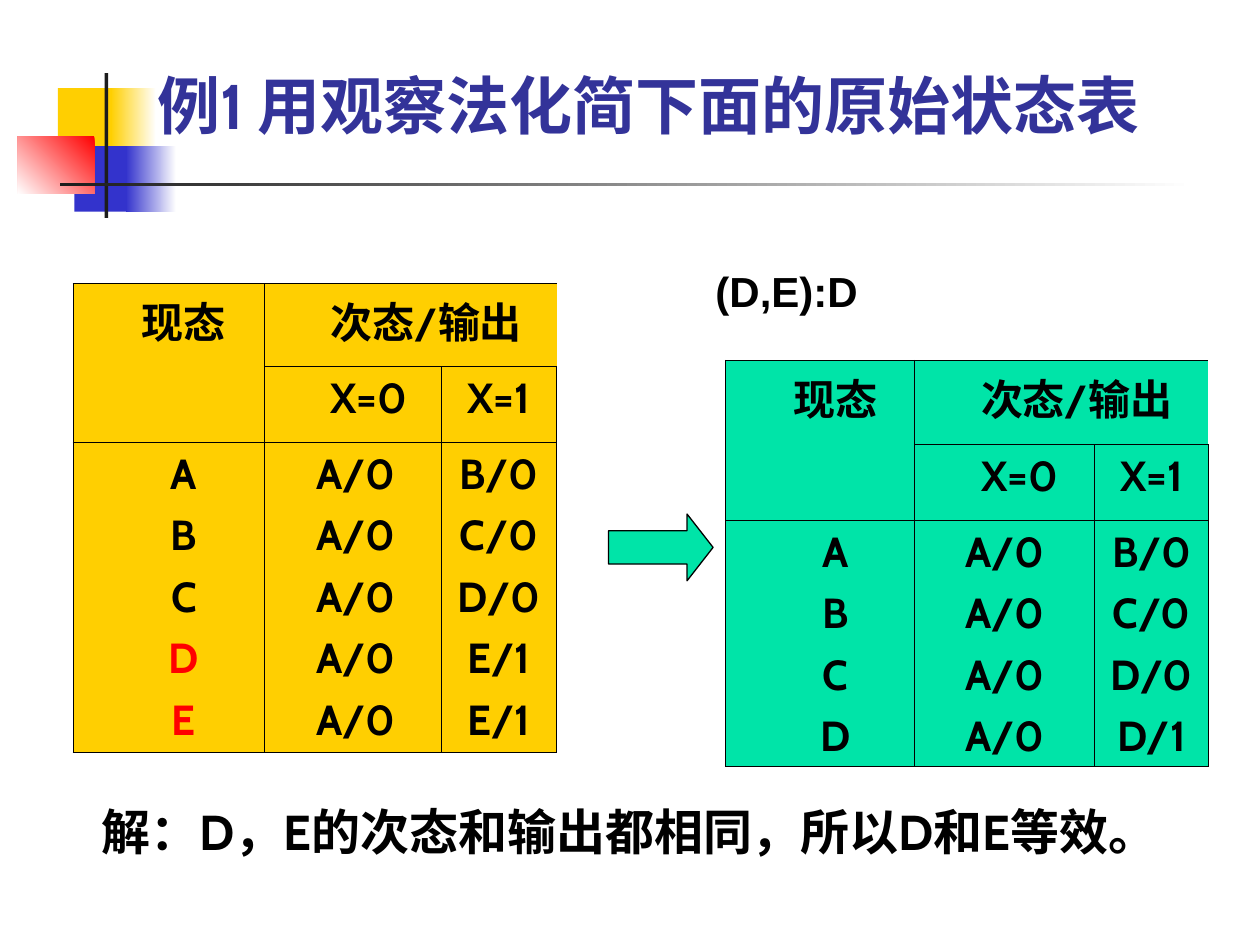
from lxml import etree
from pptx import Presentation
from pptx import util as u
from pptx.dml.color import RGBColor
from pptx.enum import shapes, text
from pptx.oxml import ns

COLS, ROWS = 100, 75  # slide grid
GOLD, MINT, BLUE, RED = "FFCF01", "00E4A8", "3333CC", "FF0000"
INK, BLACK, WHITE = "1C1C1C", "000000", "FFFFFF"

prs = Presentation()
prs.slide_width, prs.slide_height = u.Inches(10), u.Inches(7.5)
UNIT = prs.slide_width // COLS


def grid(*nums):
    return [u.Emu(round(n * UNIT)) for n in nums]


def tint(color, code):
    color.rgb = RGBColor.from_string(code)


def paint(fill, code):
    fill.solid()
    tint(fill.fore_color, code)


def write(frame, lines, size, font="Cabin", color=BLACK, align=None, gap=0, marks=()):
    """Fill a frame with one paragraph a line; lines in marks turn red."""
    frame.word_wrap = True
    for i, line in enumerate(lines):
        para = frame.add_paragraph() if i else frame.paragraphs[0]
        para.text = line
        para.alignment = align
        if i:
            para.space_before = u.Pt(gap)
        para.font.name, para.font.size, para.font.bold = font, u.Pt(size), True
        tint(para.font.color, RED if line in marks else color)


def block(slide, box, *codes, angle=180, kind=shapes.MSO_SHAPE.RECTANGLE):
    """Draw a lineless shape in one colour or a gradient of two."""
    shape = slide.shapes.add_shape(kind, *grid(*box))
    shape.shadow.inherit = False
    shape.line.fill.background()
    if len(codes) == 1:
        paint(shape.fill, codes[0])
    else:
        shape.fill.gradient()
        shape.fill.gradient_angle = angle
        for stop, code in zip(shape.fill.gradient_stops, codes):
            tint(stop.color, code)
    return shape


def header(slide, box, words):
    """Place the emblem and rule, then the title on top of them."""
    x, y, w, h = box
    block(slide, (x + 3.2, y + 1.2, 4.8, 5.2), GOLD)
    block(slide, (x + 7.4, y + 1.2, 3.6, 5.2), WHITE, GOLD)
    block(slide, (x + 4.5, y + 5.8, 4.6, 5.2), BLUE)
    block(slide, (x + 8.6, y + 5.8, 4, 5.2), WHITE, BLUE)
    block(slide, (x, y + 5, 6.1, 4.6), RED, WHITE, angle=225)
    block(slide, (x + 6.9, y, 0.3, h), INK)
    block(slide, (x + 3.4, y + 8.7, w - 3.4, 0.3), WHITE, INK)
    title = slide.shapes.title
    title.left, title.top, title.width, title.height = grid(x + 10.1, y - 2.5, 85.2, 8.5)
    title.text_frame.vertical_anchor = text.MSO_ANCHOR.BOTTOM
    title.text_frame.auto_size = text.MSO_AUTO_SIZE.NONE
    write(title.text_frame, [words], 36, color="333399", align=text.PP_ALIGN.LEFT)
    slide.shapes._spTree.append(title._element)


def edge(cell, sides):
    """Rule the named sides of a cell and clear the others."""
    props = cell._tc.get_or_add_tcPr()
    for side in "LRTB":
        line = etree.SubElement(props, ns.qn(f"a:ln{side}"), w=str(u.Pt(0.45)))
        if side in sides:
            fill = etree.SubElement(line, ns.qn("a:solidFill"))
            etree.SubElement(fill, ns.qn("a:srgbClr"), val=BLACK)
        else:
            etree.SubElement(line, ns.qn("a:noFill"))


def states(slide, box, cols, rows, code, names, nexts, marks=()):
    """Build a state table; narrow blank columns pad the first two wide ones."""
    table = slide.shapes.add_table(len(rows), len(cols), *grid(*box)).table
    table.first_row = table.horz_banding = False
    for col, size in zip(table.columns, grid(*cols)):
        col.width = size
    for row, size in zip(table.rows, grid(*rows)):
        row.height = size
    for r in range(len(rows)):
        for c, sides in enumerate(("LTB", "RTB", "LTB", "RTB", "LRTB")):
            cell = table.cell(r, c)
            edge(cell, "TB" if (r, c) == (0, 3) else sides)
            paint(cell.fill, code)
    for c in (0, 1):
        table.cell(0, c).merge(table.cell(1, c))
    table.cell(0, 3).merge(table.cell(0, 4))
    parts = {
        (0, 1): ["现态"], (0, 3): ["次态/输出"],
        (1, 3): ["X=0"], (1, 4): ["X=1"],
        (2, 1): names, (2, 3): ["A/0"] * len(names), (2, 4): nexts,
    }
    for spot, lines in parts.items():
        left = spot == (2, 3)
        cell = table.cell(*spot)
        if left:
            cell.margin_left = u.Inches(0.16)
        write(cell.text_frame, lines, 24, gap=6, marks=marks,
              align=text.PP_ALIGN.LEFT if left else text.PP_ALIGN.CENTER)


def arrow(slide, box):
    shape = block(slide, box, MINT, kind=shapes.MSO_SHAPE.RIGHT_ARROW)
    shape.adjustments[1] = 0.39
    paint(shape.line.fill, BLACK)
    shape.line.width = u.Pt(0.75)


def note(slide, box, words, size, font="Cabin"):
    frame = slide.shapes.add_textbox(*grid(*box)).text_frame
    write(frame, [words], size, font)
    frame.auto_size = text.MSO_AUTO_SIZE.SHAPE_TO_FIT_TEXT


def main():
    slide = prs.slides.add_slide(prs.slide_layouts[5])
    header(slide, (1.4, 5.8, 93.4, 11.5), "例1 用观察法化简下面的原始状态表")
    states(slide, (5.8, 22.5, 38.3, 37), (2.4, 12.8, 2.5, 11.5, 9.2), (6.6, 6, 24.4),
           GOLD, list("ABCDE"), ["B/0", "C/0", "D/0", "E/1", "E/1"], marks="DE")
    note(slide, (7.1, 63.1, 87.5, 10.4), "解：D，E的次态和输出都相同，所以D和E等效。", 28)
    states(slide, (57.6, 28.6, 38.2, 32.2), (2.4, 12.6, 2.4, 11.9, 9), (6.7, 6, 19.5),
           MINT, list("ABCD"), ["B/0", "C/0", "D/0", "D/1"])
    arrow(slide, (48.3, 40.8, 8.3, 5.3))
    note(slide, (55.8, 20.6, 15.8, 5), "(D,E):D", 24, "Arial")
    prs.save("out.pptx")


if __name__ == "__main__":
    main()
